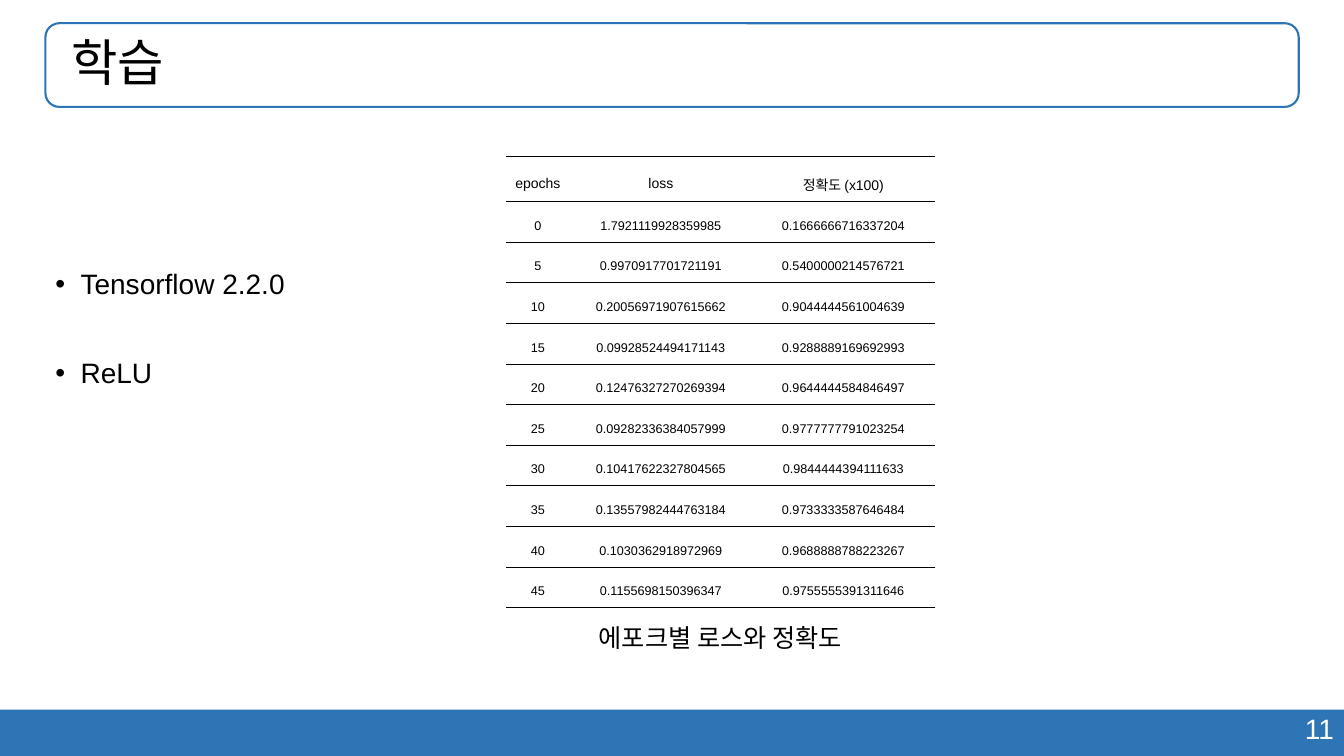
import pptx
import pptx.util
import pptx.dml.color
import pptx.enum.shapes
import pptx.enum.text
import pptx.oxml.ns
import lxml.etree

Pt = pptx.util.Pt
Inches = pptx.util.Inches
RGBColor = pptx.dml.color.RGBColor
SHAPE = pptx.enum.shapes.MSO_SHAPE
ALIGN = pptx.enum.text.PP_ALIGN
ANCHOR = pptx.enum.text.MSO_ANCHOR
qn = pptx.oxml.ns.qn

BLUE = RGBColor(0x2E, 0x75, 0xB6)
BLACK = RGBColor(0, 0, 0)
WHITE = RGBColor(255, 255, 255)
WIDTH, HEIGHT = Inches(13.33), Inches(7.5)

HEADER = ("epochs", "loss", "정확도 (x100)")
RESULTS = [
    ("0", "1.7921119928359985", "0.1666666716337204"),
    ("5", "0.9970917701721191", "0.5400000214576721"),
    ("10", "0.20056971907615662", "0.9044444561004639"),
    ("15", "0.09928524494171143", "0.9288889169692993"),
    ("20", "0.12476327270269394", "0.9644444584846497"),
    ("25", "0.09282336384057999", "0.9777777791023254"),
    ("30", "0.10417622327804565", "0.9844444394111633"),
    ("35", "0.13557982444763184", "0.9733333587646484"),
    ("40", "0.1030362918972969", "0.9688888788223267"),
    ("45", "0.1155698150396347", "0.9755555391311646"),
]


def apply(obj, formats):
    for name, value in formats.items():
        setattr(obj, name, value)


def percent_box(left, top, width, height):
    return (int(WIDTH * left / 100), int(HEIGHT * top / 100),
            int(WIDTH * width / 100), int(HEIGHT * height / 100))


def inner_box(box, left, top, width, height):
    x, y, w, h = box
    return int(x + w * left), int(y + h * top), int(w * width), int(h * height)


def write(p, text, size, color=BLACK, **formats):
    apply(p, formats)
    r = p.add_run()
    r.text = text
    apply(r.font, {"name": "Arial", "size": Pt(size)})
    r.font.color.rgb = color


def add_text(s, box, **formats):
    tf = s.shapes.add_textbox(*box).text_frame
    apply(tf, {"word_wrap": True, **formats})
    return tf


def add_footer(s, box, number):
    sp = s.shapes.add_shape(SHAPE.RECTANGLE, *box)
    sp.shadow.inherit = False
    sp.fill.solid()
    sp.fill.fore_color.rgb = BLUE
    sp.line.fill.background()
    tf = add_text(s, inner_box(box, 0.71, -0.07, 0.29, 0.96))
    write(tf.paragraphs[0], number, 20, WHITE, alignment=ALIGN.RIGHT)


def add_title(s, box, title):
    sp = s.shapes.add_shape(SHAPE.ROUNDED_RECTANGLE, *box)
    sp.shadow.inherit = False
    sp.fill.background()
    sp.line.color.rgb = BLUE
    sp.line.width = Pt(1.5)
    tf = add_text(s, inner_box(box, 0.013, 0, 0.987, 1),
                  vertical_anchor=ANCHOR.MIDDLE)
    write(tf.paragraphs[0], title, 36, line_spacing=0.9)


def add_bullets(s, box, items):
    tf = add_text(s, box)
    for i, item in enumerate(items):
        p = tf.add_paragraph() if i else tf.paragraphs[0]
        pPr = p._p.get_or_add_pPr()
        pPr.set("marL", str(Inches(0.25)))
        pPr.set("indent", str(-Inches(0.25)))
        lxml.etree.SubElement(pPr, qn("a:buFont"), typeface="Arial")
        lxml.etree.SubElement(pPr, qn("a:buChar"), char="•")
        write(p, item, 20, line_spacing=0.9, space_before=Pt(42 if i else 0))


def rule_cell(cell):
    tcPr = cell._tc.get_or_add_tcPr()
    for i, side in enumerate(("lnL", "lnR", "lnT", "lnB")):
        ln = lxml.etree.Element(qn("a:" + side), w=str(Pt(0.28)))
        if side in ("lnT", "lnB"):
            fill = lxml.etree.SubElement(ln, qn("a:solidFill"))
            lxml.etree.SubElement(fill, qn("a:srgbClr"), val=str(BLACK))
        else:
            lxml.etree.SubElement(ln, qn("a:noFill"))
        tcPr.insert(i, ln)


def add_results(s, box, caption):
    rows = [HEADER, *RESULTS]
    table_box = inner_box(box, 0, 0, 1, 0.9)
    table = s.shapes.add_table(len(rows), len(HEADER), *table_box).table
    apply(table, {"first_row": False, "horz_banding": False})
    for col, share in zip(table.columns, (0.148, 0.426, 0.426)):
        col.width = int(table_box[2] * share)
    for i, values in enumerate(rows):
        share = 0.9 / len(RESULTS) if i else 0.1
        table.rows[i].height = int(table_box[3] * share)
        for cell, value in zip(table.rows[i].cells, values):
            apply(cell, {"vertical_anchor": ANCHOR.MIDDLE,
                         "margin_left": Inches(0.07),
                         "margin_right": Inches(0.07),
                         "margin_top": Inches(0.02),
                         "margin_bottom": Inches(0.02)})
            cell.fill.background()
            rule_cell(cell)
            write(cell.text_frame.paragraphs[0], value, 9 if i else 10,
                  alignment=ALIGN.CENTER, line_spacing=1.6)
    tf = add_text(s, inner_box(box, 0.16, 0.92, 0.68, 0.08), word_wrap=False)
    write(tf.paragraphs[0], caption, 18, alignment=ALIGN.CENTER)


def main():
    prs = pptx.Presentation()
    apply(prs, {"slide_width": WIDTH, "slide_height": HEIGHT})
    s = prs.slides.add_slide(prs.slide_layouts[6])
    add_footer(s, percent_box(0, 93.87, 100, 6.13), "11")
    add_title(s, percent_box(3.38, 3.07, 93.25, 11.07), "학습")
    add_bullets(s, percent_box(3.38, 35.07, 32, 55.47),
                ("Tensorflow 2.2.0", "ReLU"))
    add_results(s, percent_box(37.66, 20.67, 31.88, 66.3),
                "에포크별 로스와 정확도")
    prs.save("out.pptx")


if __name__ == "__main__":
    main()
